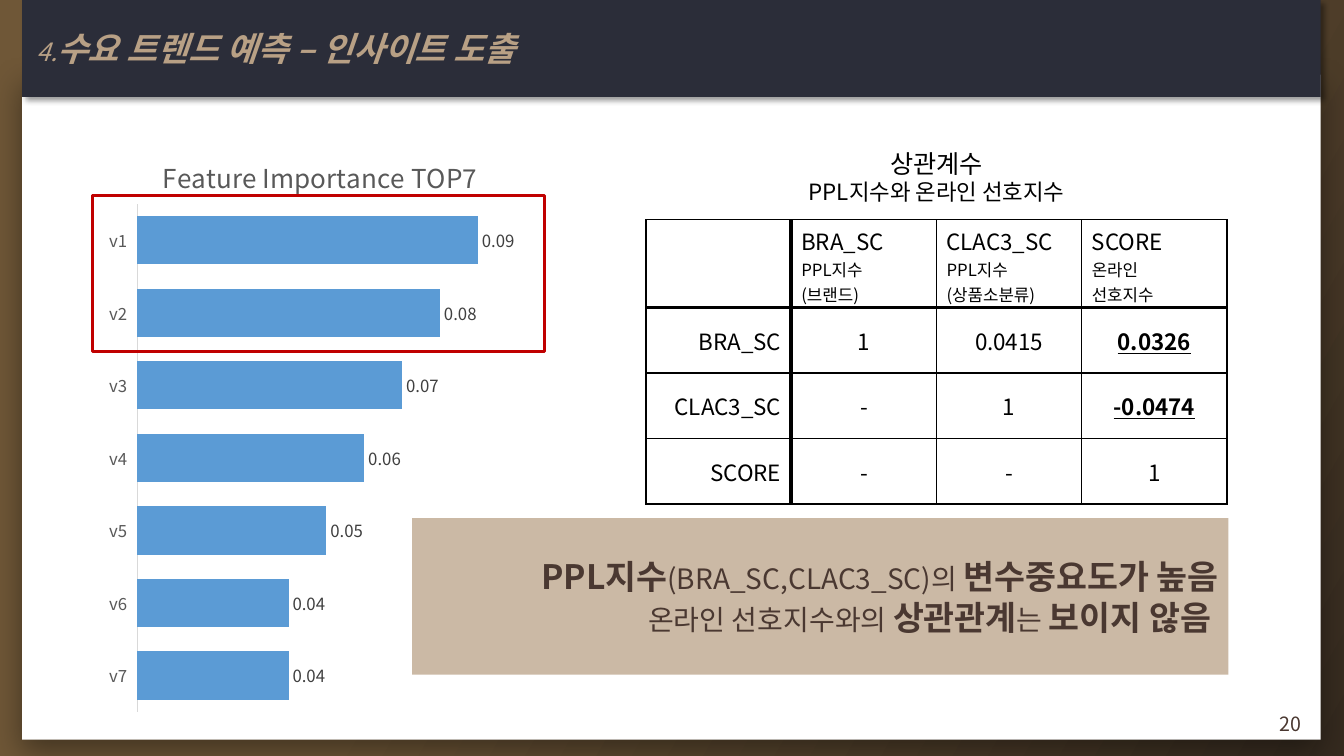
from lxml import etree
from pptx import Presentation
from pptx.chart.data import CategoryChartData
from pptx.dml.color import RGBColor
from pptx.enum.chart import XL_CHART_TYPE, XL_LABEL_POSITION, XL_TICK_LABEL_POSITION, XL_TICK_MARK
from pptx.enum.shapes import MSO_SHAPE
from pptx.enum.text import MSO_ANCHOR, PP_ALIGN
from pptx.oxml import parse_xml
from pptx.oxml.ns import nsdecls, qn
from pptx.util import Cm, Pt

LEFT, CENTER, RIGHT = PP_ALIGN.LEFT, PP_ALIGN.CENTER, PP_ALIGN.RIGHT
TOP, MIDDLE = MSO_ANCHOR.TOP, MSO_ANCHOR.MIDDLE
FONT = "Noto Sans CJK KR"
BLACK, NAVY, TAN, BROWN = "000000", "2B2D39", "B8A085", "4A3831"

TITLE = [[("4.", 18, False), ("수요 트렌드 예측 – 인사이트 도출", 24, True)]]
PAGE_NUMBER = [[("20", 14, False)]]
CHART_TITLE = "Feature Importance TOP7"
IMPORTANCE = {"v1": 0.09, "v2": 0.08, "v3": 0.07, "v4": 0.06, "v5": 0.05, "v6": 0.04, "v7": 0.04}
TABLE_TITLE = [[("상관계수", 18, False)], [("PPL지수와 온라인 선호지수", 16, False)]]
TABLE_HEADER = [
    [],
    ["BRA_SC", "PPL지수", "(브랜드)"],
    ["CLAC3_SC", "PPL지수", "(상품소분류)"],
    ["SCORE", "온라인", "선호지수"],
]
TABLE_ROWS = [
    ["BRA_SC", "1", "0.0415", "0.0326"],
    ["CLAC3_SC", "-", "1", "-0.0474"],
    ["SCORE", "-", "-", "1"],
]
KEY_VALUES = ("0.0326", "-0.0474")
CONCLUSION = [
    [("PPL지수", 24, True), ("(BRA_SC,CLAC3_SC)의 ", 20, False), ("변수중요도가 높음", 24, True)],
    [("온라인 선호지수와의 ", 20, False), ("상관관계", 24, True), ("는 ", 20, False),
     ("보이지 않음 ", 24, True)],
]


def color(value):
    return RGBColor.from_string(value)


def set_font(font, size, text_color, bold=False, italic=False, underline=False):
    font.name, font.size = FONT, Pt(size)
    font.bold, font.italic, font.underline = bold, italic, underline
    font.color.rgb = color(text_color)


def write(frame, paragraphs, text_color=BLACK, align=LEFT, anchor=MIDDLE, italic=False,
          underline=False, margin=None):
    frame.word_wrap = True
    frame.vertical_anchor = anchor
    if margin is not None:
        frame.margin_left = frame.margin_right = frame.margin_top = frame.margin_bottom = margin
    for index, runs in enumerate(paragraphs):
        paragraph = frame.paragraphs[0] if index == 0 else frame.add_paragraph()
        paragraph.alignment = align
        for text, size, bold in runs:
            run = paragraph.add_run()
            run.text = text
            set_font(run.font, size, text_color, bold, italic, underline)
            east_asian = etree.SubElement(run.font._element, qn("a:ea"))
            east_asian.set("typeface", FONT)


def add_rectangle(box, fill=None, line=None, shadow=None):
    shape = slide.shapes.add_shape(MSO_SHAPE.RECTANGLE, *map(Cm, box))
    shape.shadow.inherit = False
    if fill:
        shape.fill.solid()
        shape.fill.fore_color.rgb = color(fill)
    else:
        shape.fill.background()
    if line:
        shape.line.color.rgb = color(line)
        shape.line.width = Pt(2.25)
    else:
        shape.line.fill.background()
    if shadow:
        blur, distance, angle = shadow
        shape._element.spPr.find(qn("a:effectLst")).append(parse_xml(
            f'<a:outerShdw {nsdecls("a")} blurRad="{Pt(blur)}" dist="{Pt(distance)}" '
            f'dir="{angle * 60000}" algn="t" rotWithShape="0"><a:srgbClr val="{BLACK}">'
            '<a:alpha val="40000"/></a:srgbClr></a:outerShdw>'))
    return shape


def add_text(box, paragraphs, **style):
    write(slide.shapes.add_textbox(*map(Cm, box)).text_frame, paragraphs, **style)


def set_borders(cell, **widths):
    properties = cell._tc.get_or_add_tcPr()
    for index, side in enumerate("LRTB"):
        properties.insert(index, parse_xml(
            f'<a:ln{side} {nsdecls("a")} w="{Pt(widths.get(side, 1))}"><a:solidFill>'
            f'<a:srgbClr val="{BLACK}"/></a:solidFill></a:ln{side}>'))


def set_layout(parent, index, **fractions):
    old = parent.find(qn("c:layout"))
    if old is not None:
        parent.remove(old)
    target = '<c:layoutTarget val="inner"/>' if "w" in fractions else ""
    modes = "".join(f'<c:{key}Mode val="edge"/>' for key in "xy")
    values = "".join(f'<c:{key} val="{value}"/>' for key, value in fractions.items())
    parent.insert(index, parse_xml(
        f'<c:layout {nsdecls("c")}><c:manualLayout>{target}{modes}{values}'
        '</c:manualLayout></c:layout>'))


def add_importance_chart(box):
    data = CategoryChartData()
    data.categories = list(IMPORTANCE)
    data.add_series("Series 1", list(IMPORTANCE.values()))
    chart = slide.shapes.add_chart(XL_CHART_TYPE.BAR_CLUSTERED, *map(Cm, box), data).chart
    chart.has_legend = False
    set_font(chart.font, 10, BLACK)
    title = chart.chart_title
    title.text_frame.text = CHART_TITLE
    set_font(title.text_frame.paragraphs[0].runs[0].font, 18.6, "595959")
    set_layout(title._element, 1, x=0.12, y=0.04)
    set_layout(chart._chartSpace.chart.plotArea, 0, x=0.07, y=0.13, w=0.91, h=0.85)

    categories = chart.category_axis
    categories.reverse_order = True
    categories.major_tick_mark = XL_TICK_MARK.NONE
    categories.tick_label_position = XL_TICK_LABEL_POSITION.LOW
    categories.format.line.color.rgb = color("D9D9D9")
    categories.format.line.width = Pt(0.75)
    set_font(categories.tick_labels.font, 12, "595959")
    values = chart.value_axis
    values.minimum_scale, values.maximum_scale = 0, 0.1
    values.has_major_gridlines = False
    values.visible = False

    plot = chart.plots[0]
    plot.vary_by_categories = False
    plot.gap_width, plot.overlap = 50, -25
    bars = plot.series[0].format.fill
    bars.solid()
    bars.fore_color.rgb = color("5B9BD5")
    plot.has_data_labels = True
    labels = plot.data_labels
    labels.show_value = True
    labels.position = XL_LABEL_POSITION.OUTSIDE_END
    set_font(labels.font, 12, "404040")


def add_correlation_table(left, top, column_width, header_height, row_height):
    rows, columns = len(TABLE_ROWS) + 1, len(TABLE_HEADER)
    height = header_height + row_height * len(TABLE_ROWS)
    table = slide.shapes.add_table(rows, columns, Cm(left), Cm(top),
                                   Cm(column_width * columns), Cm(height)).table
    table.first_row = table.horz_banding = False
    for column in table.columns:
        column.width = Cm(column_width)
    for row_index, row in enumerate(table.rows):
        row.height = Cm(row_height if row_index else header_height)
        for column_index, cell in enumerate(row.cells):
            cell.fill.background()
            cell.vertical_anchor = MIDDLE
            set_borders(cell, L=3 if column_index == 1 else 1, R=3 if column_index == 0 else 1,
                        T=3 if row_index == 1 else 1, B=3 if row_index == 0 else 1)
            if row_index == 0:
                lines = TABLE_HEADER[column_index]
                write(cell.text_frame, [[(text, 12 if index else 16, False)]
                                        for index, text in enumerate(lines)])
            else:
                text = TABLE_ROWS[row_index - 1][column_index]
                key = text in KEY_VALUES
                write(cell.text_frame, [[(text, 16, key)]], underline=key,
                      align=CENTER if column_index else RIGHT)


presentation = Presentation()
presentation.slide_width, presentation.slide_height = Cm(33.87), Cm(19.05)
slide = presentation.slides.add_slide(presentation.slide_layouts[6])
background = slide.background.fill
background.gradient()
background.gradient_angle = 150
for stop, (position, value) in zip(background.gradient_stops, [(0, "352A1F"), (0.58, "6F5737")]):
    stop.position = position
    stop.color.rgb = color(value)

add_rectangle((0.56, 1.88, 32.72, 16.76), fill="FFFFFF", shadow=(22, 8, 90))
add_rectangle((0.56, 0, 32.72, 2.44), fill=NAVY, shadow=(4, 3, 45))
add_text((0.91, 0, 17.53, 2.44), TITLE, text_color=TAN, italic=True, margin=0)
add_text((25.43, 17.73, 7.62, 1.02), PAGE_NUMBER, text_color=BROWN, align=RIGHT)
add_importance_chart((2.72, 3.18, 10.49, 15.06))
add_rectangle((2.34, 4.93, 11.38, 3.94), line="C00000")
add_correlation_table(16.28, 5.54, 3.66, 2.21, 1.65)
conclusion = add_rectangle((10.39, 13.06, 20.57, 3.94), fill="CBB9A5")
write(conclusion.text_frame, CONCLUSION, text_color=BROWN, align=RIGHT)
add_text((18.36, 3.61, 10.49, 1.7), TABLE_TITLE, align=CENTER, anchor=TOP)
presentation.save("out.pptx")
